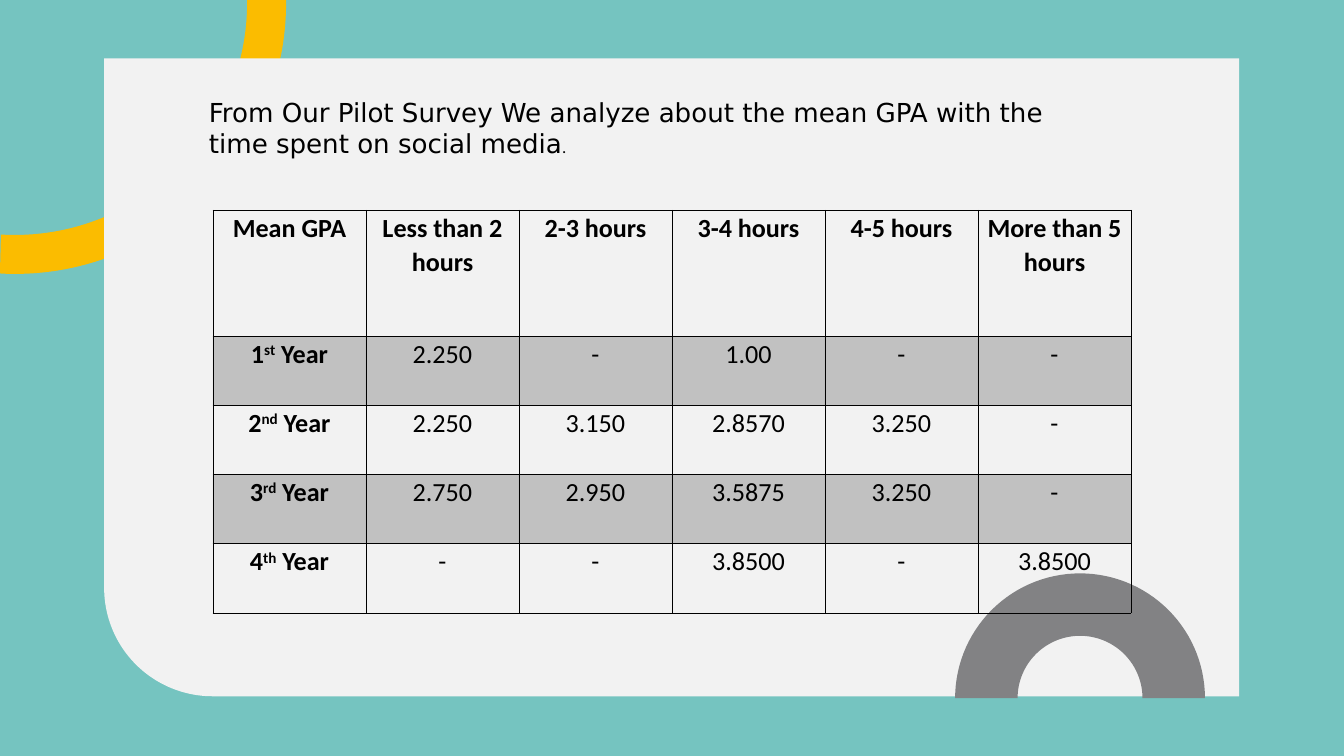
from math import cos, radians, sin

from lxml import etree
from pptx import Presentation
from pptx.dml.color import RGBColor
from pptx.enum.shapes import MSO_SHAPE
from pptx.enum.text import MSO_ANCHOR, MSO_AUTO_SIZE, PP_ALIGN
from pptx.oxml import parse_xml
from pptx.oxml.ns import nsdecls, qn
from pptx.util import Inches, Pt

ROUND = MSO_SHAPE.ROUND_1_RECTANGLE
TOP = MSO_ANCHOR.TOP
FIXED = MSO_AUTO_SIZE.NONE
LEFT, CENTER = PP_ALIGN.LEFT, PP_ALIGN.CENTER
COLORS = {"teal": "75C4C0", "gold": "FBBC00", "card": "F2F2F2",
          "gray": "828284", "ink": "000000"}


def write(para, text, size=28, font="Calibri", bold=False, lift=0):
    """Add one run; lift is the superscript rise in percent."""
    run = para.add_run()
    run.text = text
    run.font.size = Pt(size)
    run.font.name = font
    run.font.bold = bold
    run.font.color.rgb = RGBColor.from_string(COLORS["ink"])
    if lift:
        run.font._element.set("baseline", str(lift * 1000))


def paint(shape, color):
    shape.shadow.inherit = False
    shape.fill.solid()
    shape.fill.fore_color.rgb = RGBColor.from_string(COLORS[color])
    shape.line.fill.background()


prs = Presentation()
prs.slide_width, prs.slide_height = Inches(20.01), Inches(11.26)
slide = prs.slides.add_slide(prs.slide_layouts[5])
shapes = slide.shapes
slide.background.fill.solid()
slide.background.fill.fore_color.rgb = RGBColor.from_string(COLORS["teal"])

# Backdrop: two part rings, cut off at the top and left slide edges, and a card
STEPS = 60
RINGS = [((0.22, 0.04), 4.04, 3.46, -0.6, 93.4, "gold"),
         ((16.08, 10.4), 1.86, 0.93, 180, 360, "gray")]
for (mid_x, mid_y), outer, inner, start, end, color in RINGS:
    turns = [radians(start + (end - start) * i / STEPS) for i in range(STEPS + 1)]
    arcs = [(outer, turn) for turn in turns] + [(inner, turn) for turn in turns[::-1]]
    dots = [(Inches(max(0, mid_x + rad * cos(turn))),
             Inches(max(0, mid_y + rad * sin(turn)))) for rad, turn in arcs]
    pen = shapes.build_freeform(*dots[0])
    pen.add_line_segments(dots[1:])
    ring = pen.convert_to_shape()
    paint(ring, color)

card = shapes.add_shape(ROUND, Inches(1.55), Inches(0.87), Inches(16.9), Inches(9.5))
card.rotation = 180
card.adjustments[0] = 0.17
paint(card, "card")
shapes.element.append(ring.element)

# Heading, brought in front of the backdrop
title = shapes.title
shapes.element.append(title.element)
title.left, title.top = Inches(3.01), Inches(1.38)
title.width, title.height = Inches(13.08), Inches(1.04)
frame = title.text_frame
frame.word_wrap = True
frame.auto_size = FIXED
frame.vertical_anchor = TOP
head = frame.paragraphs[0]
head.alignment = LEFT
write(head, "From Our Pilot Survey We analyze about the mean GPA with the "
            "time spent on social media", font="DejaVu Sans")
write(head, ".", size=18)

# Mean GPA table: a row label is split into number, ordinal and word
ROWS = [
    ["Mean GPA", "Less than 2 hours", "2-3 hours", "3-4 hours", "4-5 hours",
     "More than 5 hours"],
    [("1", "st", " Year"), "2.250", "-", "1.00", "-", "-"],
    [("2", "nd", " Year"), "2.250", "3.150", "2.8570", "3.250", "-"],
    [("3", "rd", " Year"), "2.750", "2.950", "3.5875", "3.250", "-"],
    [("4", "th", " Year"), "-", "-", "3.8500", "-", "3.8500"],
]
table = shapes.add_table(len(ROWS), len(ROWS[0]), Inches(3.17), Inches(3.13),
                         Inches(13.67), Inches(6)).table
for col in table.columns:
    col.width = Inches(13.67 / len(ROWS[0]))
for y, row in enumerate(ROWS):
    table.rows[y].height = Inches(1.03 if y else 1.88)
    for x, text in enumerate(row):
        cell = table.cell(y, x)
        cell.margin_left = cell.margin_right = Inches(0.07)
        cell.margin_top = cell.margin_bottom = 0
        para = cell.text_frame.paragraphs[0]
        para.alignment = CENTER
        para.line_spacing = 1.07
        parts = text if isinstance(text, tuple) else (text,)
        for i, part in enumerate(parts):
            write(para, part, bold=y == 0 or x == 0, lift=30 if i == 1 else 0)

        props = cell._tc.get_or_add_tcPr()
        for side in ("lnL", "lnR", "lnT", "lnB"):
            props.append(parse_xml(
                f'<a:{side} {nsdecls("a")} w="{Pt(1)}"><a:solidFill>'
                f'<a:srgbClr val="{COLORS["ink"]}"/></a:solidFill></a:{side}>'))
        if y % 2:
            cell.fill.solid()
            cell.fill.fore_color.rgb = RGBColor.from_string(COLORS["ink"])
            tint = props.find(qn("a:solidFill")).find(qn("a:srgbClr"))
            etree.SubElement(tint, qn("a:alpha")).set("val", "20000")
        else:
            cell.fill.background()

prs.save("out.pptx")
